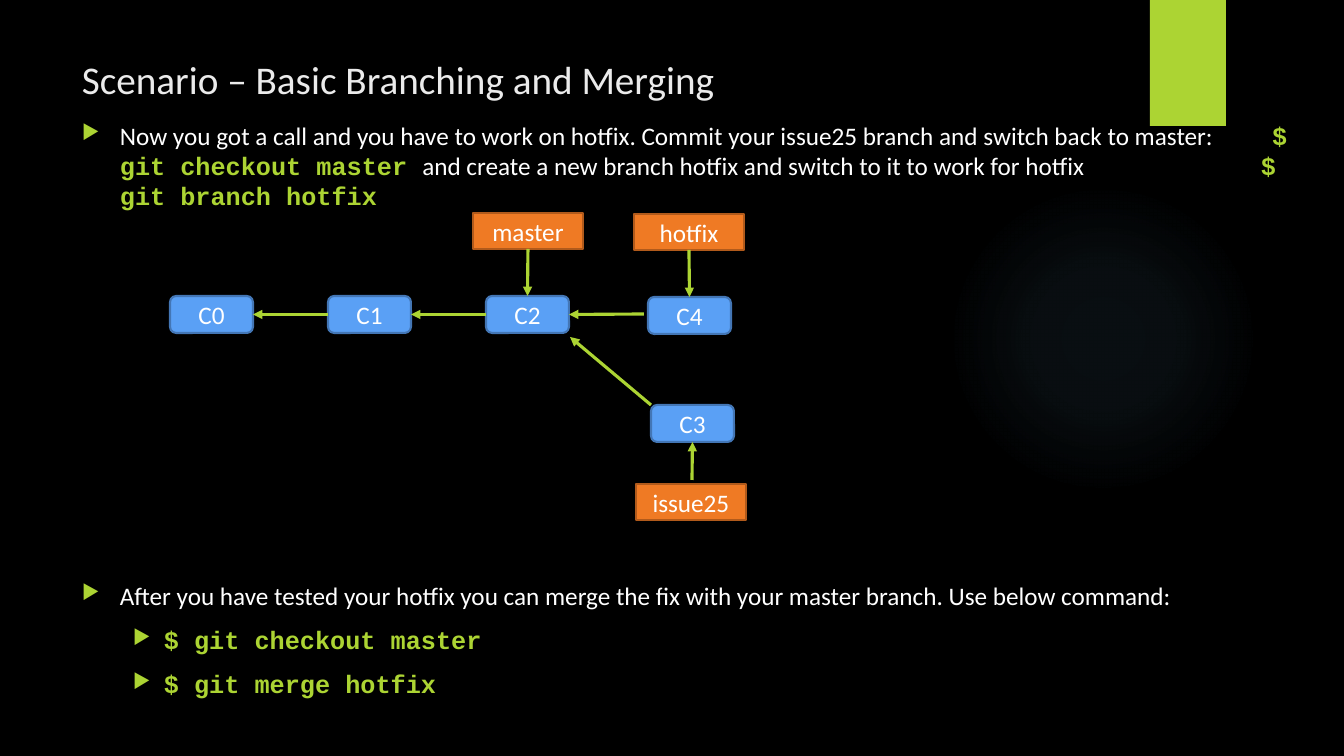
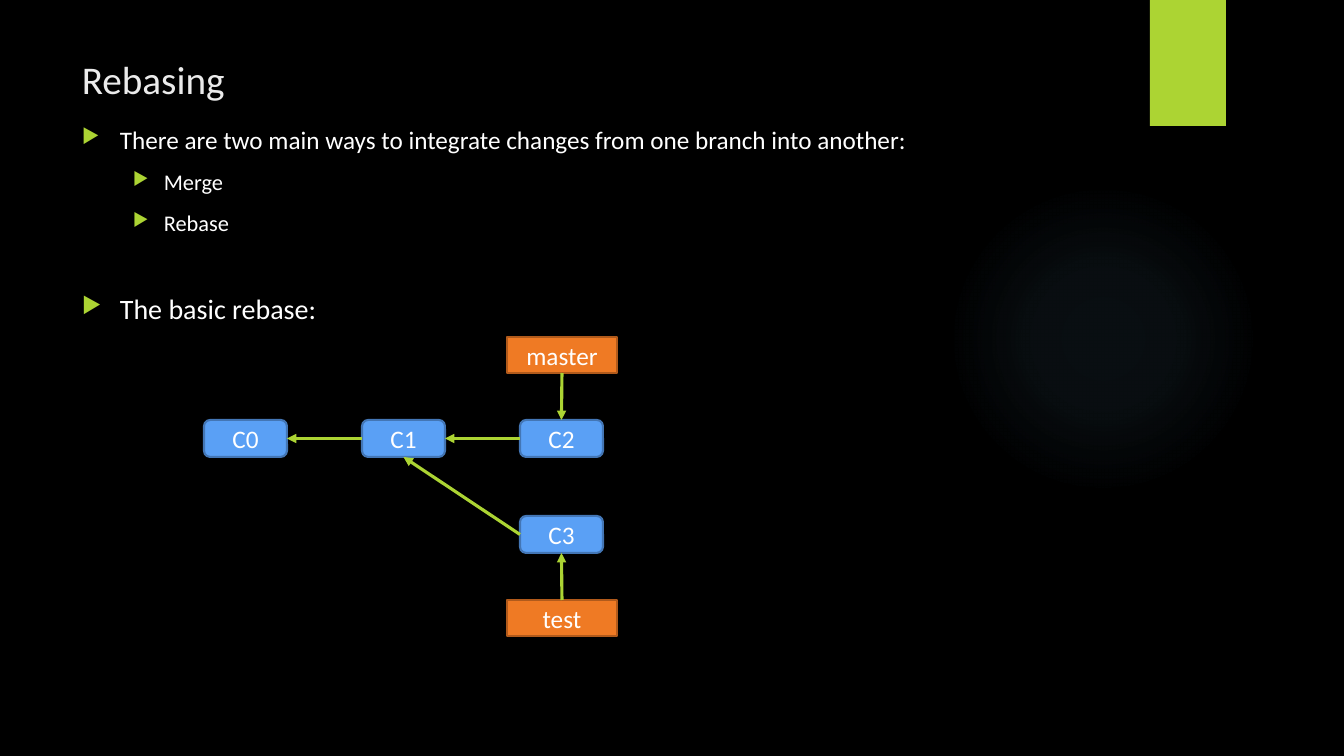
from pptx import Presentation
from pptx.dml.color import RGBColor
from pptx.enum.shapes import MSO_CONNECTOR, MSO_SHAPE
from pptx.enum.text import MSO_ANCHOR, PP_ALIGN
from pptx.oxml import parse_xml
from pptx.oxml.ns import nsdecls, qn
from pptx.util import Pt

EMU_PER_PX = 12192000 / 1344
RECTANGLE = MSO_SHAPE.RECTANGLE
ROUNDED = MSO_SHAPE.ROUNDED_RECTANGLE
ELLIPSE = MSO_SHAPE.OVAL
STRAIGHT = MSO_CONNECTOR.STRAIGHT
MIDDLE = MSO_ANCHOR.MIDDLE
CENTER = PP_ALIGN.CENTER
TOP, LEFT, BOTTOM, RIGHT = range(4)

BLACK = RGBColor(0x00, 0x00, 0x00)
WHITE = RGBColor(0xFF, 0xFF, 0xFF)
TITLE_GRAY = RGBColor(0xEB, 0xEB, 0xEB)
LIME = RGBColor(0xAC, 0xD4, 0x33)
GLOW_BLUE = RGBColor(0x7A, 0xC4, 0xF0)
COMMIT_FILL = RGBColor(0x5A, 0xA0, 0xF5)
COMMIT_LINE = RGBColor(0x43, 0x76, 0xB5)
BRANCH_FILL = RGBColor(0xEF, 0x7A, 0x24)
BRANCH_LINE = RGBColor(0xB1, 0x5A, 0x1B)

TEXT_FONT = "Calibri"
CODE_FONT = "Courier New"
COMMIT_SIZE = (83, 37)
BRANCH_SIZE = (110, 36)
COMMIT_PITCH = 158
BODY_LEFT, BODY_WIDTH = 72, 1248
LEVELS = ((38, -38), (82, -31))
GLOW_STOPS = ((0, 7), (36, 6), (69, 0))


def px(length):
    """Turn px into EMU."""
    return round(length * EMU_PER_PX)


def add_run(paragraph, text, size, color=WHITE, code=False):
    """Add one run, in bold lime code style when asked."""
    run = paragraph.add_run()
    run.text = text
    run.font.size = Pt(size)
    run.font.name = CODE_FONT if code else TEXT_FONT
    run.font.bold = code
    run.font.color.rgb = LIME if code else color


def add_box(slide, kind, left, top, width, height, fill, line=None):
    """Add a flat preset shape."""
    shape = slide.shapes.add_shape(kind, px(left), px(top), px(width), px(height))
    shape.shadow.inherit = False
    shape.fill.solid()
    shape.fill.fore_color.rgb = fill
    if line is None:
        shape.line.fill.background()
    else:
        shape.line.color.rgb = line
        shape.line.width = Pt(1.5)
    return shape


def add_text_box(slide, left, top, width, height):
    """Add a wrapping text box and return its frame."""
    box = slide.shapes.add_textbox(px(left), px(top), px(width), px(height))
    box.text_frame.word_wrap = True
    return box.text_frame


def add_glow(slide, left, top, size):
    """Add the faint round glow."""
    glow = add_box(slide, ELLIPSE, left, top, size, size, GLOW_BLUE)
    stops = "".join(
        f'<a:gs pos="{position * 1000}"><a:srgbClr val="{GLOW_BLUE}">'
        f'<a:alpha val="{alpha * 1000}"/></a:srgbClr></a:gs>'
        for position, alpha in GLOW_STOPS)
    gradient = parse_xml(
        f'<a:gradFill {nsdecls("a")} rotWithShape="1"><a:gsLst>{stops}</a:gsLst>'
        '<a:path path="circle"><a:fillToRect l="50000" t="50000" r="50000" b="50000"/>'
        '</a:path></a:gradFill>')
    properties = glow.element.spPr
    properties.replace(properties.find(qn("a:solidFill")), gradient)


def add_base_slide(presentation, title):
    """Add a slide with the shared decoration and title."""
    slide = presentation.slides.add_slide(presentation.slide_layouts[6])
    add_glow(slide, 948, 184, 310)
    add_box(slide, RECTANGLE, 1150, 0, 76, 126, LIME)
    frame = add_text_box(slide, BODY_LEFT, 50, 1037, 66)
    add_run(frame.paragraphs[0], title, 28, TITLE_GRAY)
    return slide


def add_bullet_format(paragraph, level, tabs):
    """Give a paragraph its hanging indent, arrow bullet and tab stops."""
    properties = paragraph._p.get_or_add_pPr()
    margin, indent = LEVELS[level]
    properties.set("marL", str(px(margin)))
    properties.set("indent", str(px(indent)))
    elements = [f'<a:buClr {nsdecls("a")}><a:srgbClr val="{LIME}"/></a:buClr>',
                f'<a:buSzPct {nsdecls("a")} val="80000"/>',
                f'<a:buChar {nsdecls("a")} char="▶"/>']
    if tabs:
        stops = "".join(f'<a:tab pos="{px(tab)}" algn="l"/>' for tab in tabs)
        elements.append(f'<a:tabLst {nsdecls("a")}>{stops}</a:tabLst>')
    for element in elements:
        properties.append(parse_xml(element))


def add_bullets(slide, top, height, items):
    """Add a body box of (level, size, space before, runs, tabs) bullets."""
    frame = add_text_box(slide, BODY_LEFT, top, BODY_WIDTH, height)
    for index, (level, size, space, runs, tabs) in enumerate(items):
        paragraph = frame.add_paragraph() if index else frame.paragraphs[0]
        paragraph.level = level
        add_bullet_format(paragraph, level, tabs)
        paragraph.space_before = Pt(space)
        for text, code in runs:
            add_run(paragraph, text, size, code=code)


def add_node(slide, kind, left, top, size, fill, line, name):
    """Add a named node of the commit graph."""
    node = add_box(slide, kind, left, top, *size, fill, line)
    frame = node.text_frame
    frame.vertical_anchor = MIDDLE
    frame.paragraphs[0].alignment = CENTER
    add_run(frame.paragraphs[0], name, 18)
    return node


def add_commit(slide, left, top, name):
    """Add a commit node."""
    return add_node(slide, ROUNDED, left, top, COMMIT_SIZE, COMMIT_FILL, COMMIT_LINE, name)


def add_branch(slide, left, top, name):
    """Add a branch label."""
    return add_node(slide, RECTANGLE, left, top, BRANCH_SIZE, BRANCH_FILL, BRANCH_LINE, name)


def add_arrow(slide, start, end):
    """Add an arrow; each end is a (node, side) pair or an (x, y) point."""
    points = [(0, 0) if hasattr(place[0], "shape_id") else place for place in (start, end)]
    connector = slide.shapes.add_connector(
        STRAIGHT, *(px(value) for point in points for value in point))
    for place, connect in ((start, connector.begin_connect), (end, connector.end_connect)):
        if hasattr(place[0], "shape_id"):
            connect(*place)
    connector.line.color.rgb = LIME
    connector.line.width = Pt(2.25)
    connector.line._get_or_add_ln().append(
        parse_xml(f'<a:tailEnd {nsdecls("a")} type="triangle"/>'))
    connector.element.spPr.append(parse_xml(f'<a:effectLst {nsdecls("a")}/>'))


def add_trunk(slide, left, top):
    """Add commits C0 to C2 with the master label and return the commits."""
    commits = [add_commit(slide, left + index * COMMIT_PITCH, top, f"C{index}")
               for index in range(3)]
    for parent, child in zip(commits, commits[1:]):
        add_arrow(slide, (child, LEFT), (parent, RIGHT))
    master = add_branch(slide, left + 303, top - 83, "master")
    add_arrow(slide, (master, BOTTOM), (commits[2], TOP))
    return commits


def add_hotfix_graph(slide, left, top):
    """Add the graph with the hotfix and issue25 branches."""
    commits = add_trunk(slide, left, top)
    issue_commit = add_commit(slide, left + 481, top + 109, "C3")
    add_branch(slide, left + 466, top + 188, "issue25")
    add_arrow(slide, (left + 522, top + 184), (issue_commit, BOTTOM))
    add_arrow(slide, (left + 481, top + 109), (left + 400, top + 41))
    hotfix_commit = add_commit(slide, left + 478, top + 1, "C4")
    hotfix = add_branch(slide, left + 464, top - 82, "hotfix")
    add_arrow(slide, (hotfix, BOTTOM), (hotfix_commit, TOP))
    add_arrow(slide, (left + 474, top + 18), (commits[2], RIGHT))


def add_rebase_graph(slide, left, top):
    """Add the graph with the test branch."""
    commits = add_trunk(slide, left, top)
    test_commit = add_commit(slide, left + 2 * COMMIT_PITCH, top + 96, "C3")
    test = add_branch(slide, left + 303, top + 180, "test")
    add_arrow(slide, (test_commit, LEFT), (commits[1], BOTTOM))
    add_arrow(slide, (test, TOP), (test_commit, BOTTOM))


def build_merging_slide(presentation):
    """Build the branching and merging slide."""
    slide = add_base_slide(presentation, "Scenario – Basic Branching and Merging")
    add_bullets(slide, 115, 100, [(0, 18, 0, [
        ("Now you got a call and you have to work on hotfix. Commit your issue25 branch "
         "and switch back to master:\t\t", False),
        ("$ git checkout master ", True),
        ("and create a new branch hotfix and switch to it to work for hotfix\t", False),
        ("$ git branch hotfix", True)], (1179, 1211))])
    add_bullets(slide, 575, 135, [
        (0, 18, 0, [("After you have tested your hotfix you can merge the fix with your "
                     "master branch. Use below command:", False)], ()),
        (1, 18, 10, [("$ git checkout master", True)], ()),
        (1, 18, 10, [("$ git merge hotfix", True)], ())])
    add_hotfix_graph(slide, 170, 296)


def build_rebasing_slide(presentation):
    """Build the rebasing slide."""
    slide = add_base_slide(presentation, "Rebasing")
    add_bullets(slide, 119, 220, [
        (0, 18, 0, [("There are two main ways to integrate changes from one branch "
                     "into another:", False)], ()),
        (1, 16, 10, [("Merge", False)], ()),
        (1, 16, 10, [("Rebase", False)], ()),
        (0, 20, 39.5, [("The basic rebase:", False)], ())])
    add_rebase_graph(slide, 204, 420)


def main():
    """Build and save the presentation."""
    presentation = Presentation()
    presentation.slide_width = px(1344)
    presentation.slide_height = px(756)
    background = presentation.slide_master.background.fill
    background.solid()
    background.fore_color.rgb = BLACK
    build_merging_slide(presentation)
    build_rebasing_slide(presentation)
    presentation.save("out.pptx")


if __name__ == "__main__":
    main()
